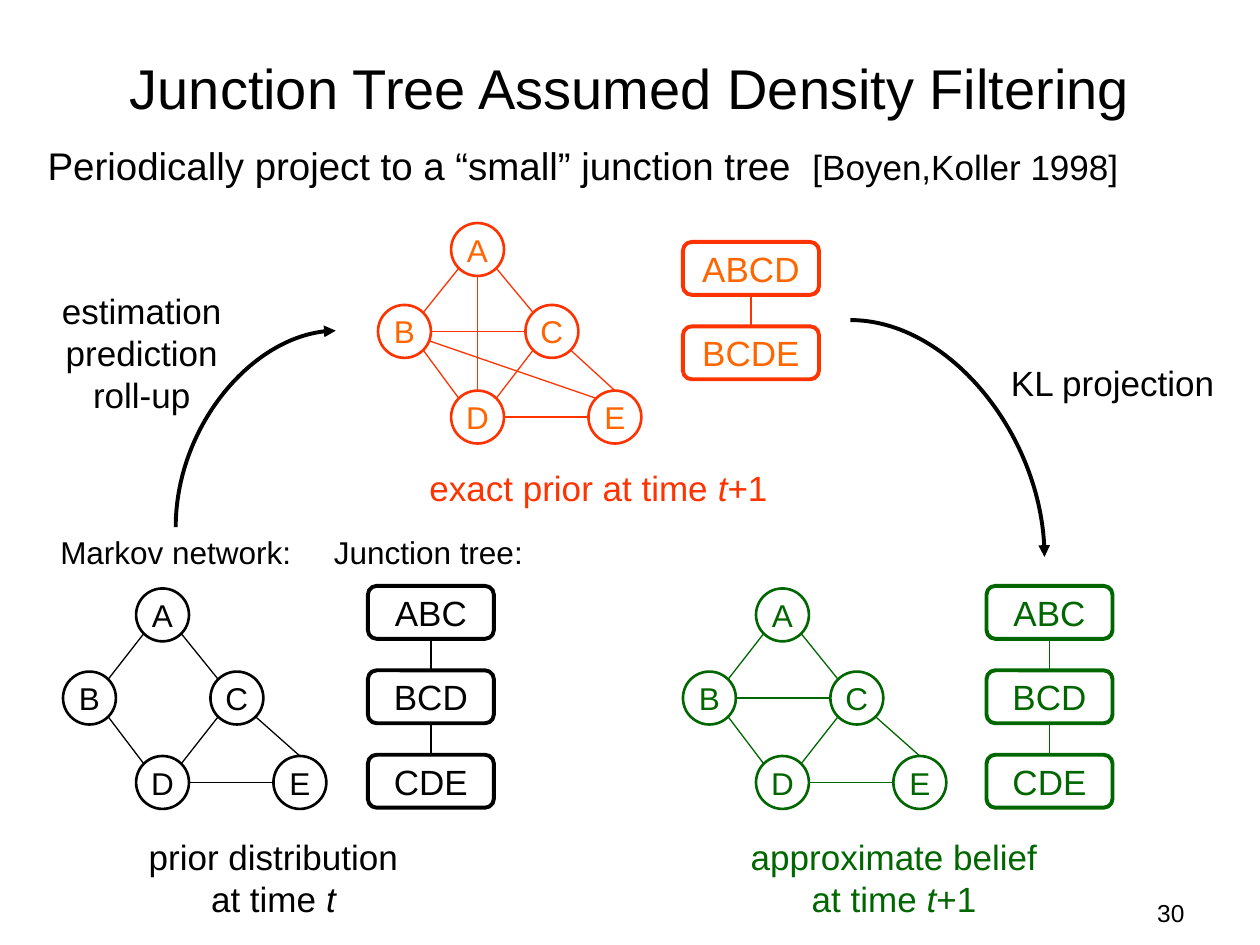
"""Build the slide on junction tree assumed density filtering."""
from math import cos, radians, sin

from lxml.etree import SubElement
from pptx import Presentation
from pptx.dml.color import RGBColor
from pptx.enum.shapes import MSO_CONNECTOR as Line, MSO_SHAPE as Preset
from pptx.enum.text import MSO_ANCHOR as Anchor, MSO_AUTO_SIZE as Fit, PP_ALIGN as Align
from pptx.oxml.ns import qn
from pptx.util import Inches, Pt

BLACK, RED, ORANGE, GREEN = "000000", "FF3300", "FF6600", "006600"
FONT = "Arial"
NODE, CLIQUE_HEIGHT, CLIQUE_STEP = 0.42, 0.42, 0.67

TITLE = "Junction Tree Assumed Density Filtering"
SUBTITLE = [("Periodically project to a “small” junction tree\t", 22),
            ("[Boyen,Koller 1998]", 20)]
CITATION_TAB = 6.07

LABELS = [
    (["prior distribution", "at time *t*"], (1.08, 6.58, 2.18, 0.77), 20, BLACK),
    (["Markov network:"], (0.35, 4.18, 2.09, 0.4), 18, BLACK),
    (["Junction tree:"], (2.55, 4.18, 1.7, 0.4), 18, BLACK),
    (["exact prior at time *t*+1"], (3.26, 3.65, 2.98, 0.44), 20, RED),
    (["approximate belief", "at time *t*+1"], (5.82, 6.58, 2.55, 0.77), 20, GREEN),
    (["estimation", "prediction", "roll-up"], (0.39, 2.25, 1.47, 1.1), 20, BLACK),
    (["KL projection"], (7.92, 2.82, 1.82, 0.44), 20, BLACK),
]

NODES = {"A": (0.58, 0), "B": (0, 1), "C": (1.17, 1), "D": (0.58, 2), "E": (1.67, 2)}
SHARED_EDGES = [("B", -45, "A", 135), ("B", 45, "D", 225), ("D", -45, "C", 135),
                ("A", 45, "C", 225), ("D", 0, "E", 180), ("C", 45, "E", -90)]
BC_EDGE = ("B", 0, "C", 180)
EXACT_EDGES = [BC_EDGE, ("E", 225, "B", 21), ("A", 90, "D", -90)]

LOWER_ROWS, UPPER_ROWS = (4.67, 5.33, 6), (1.77, 2.42, 3.1)
NETWORKS = [(0.5, LOWER_ROWS, [], BLACK, BLACK),
            (3, UPPER_ROWS, EXACT_EDGES, RED, ORANGE),
            (5.42, LOWER_ROWS, [BC_EDGE], GREEN, GREEN)]
TREES = [(2.92, 4.65, 1, ["ABC", "BCD", "CDE"], BLACK, BLACK),
         (5.42, 1.92, 1.08, ["ABCD", "BCDE"], RED, ORANGE),
         (7.83, 4.65, 1, ["ABC", "BCD", "CDE"], GREEN, GREEN)]
ARROWS = [((2.81, 4.04), (1.25, 2.77), 90), ((6.75, 2.54), (8.29, 4.42), 0)]


def rgb(color):
    """Turn a hex string into a colour."""
    return RGBColor.from_string(color)


def style(para, size, color, align=Align.CENTER):
    """Set the font and alignment of a paragraph."""
    para.alignment = align
    para.font.name, para.font.size = FONT, Pt(size)
    para.font.color.rgb = rgb(color)


def add_frame(slide, place, wrap=False):
    """Add a text box, grown to its text unless it wraps, and return its frame."""
    frame = slide.shapes.add_textbox(*map(Inches, place)).text_frame
    frame.word_wrap = wrap
    frame.auto_size = Fit.NONE if wrap else Fit.SHAPE_TO_FIT_TEXT
    return frame


def add_text(slide, lines, place, size, color, align=Align.CENTER, wrap=False):
    """Add a text box whose starred words are italic."""
    frame = add_frame(slide, place, wrap)
    for index, line in enumerate(lines):
        para = frame.paragraphs[0] if index == 0 else frame.add_paragraph()
        style(para, size, color, align)
        for part, text in enumerate(line.split("*")):
            if text:
                span = para.add_run()
                span.text = text
                if part % 2:
                    span.font.italic = True
    return frame


def add_subtitle(slide):
    """Add the statement with its citation at a tab stop."""
    para = add_frame(slide, (0.28, 1.08, 8.7, 0.47)).paragraphs[0]
    tabs = SubElement(para._p.get_or_add_pPr(), qn("a:tabLst"))
    SubElement(tabs, qn("a:tab"), pos=str(Inches(CITATION_TAB)), algn="l")
    style(para, SUBTITLE[0][1], BLACK, Align.LEFT)
    for text, size in SUBTITLE:
        span = para.add_run()
        span.text = text
        span.font.size = Pt(size)


def add_outline(shapes, preset, place, text, size, width, line_color, text_color):
    """Add an unfilled labelled shape."""
    shape = shapes.add_shape(preset, *map(Inches, place))
    shape.shadow.inherit = False
    shape.fill.background()
    shape.line.color.rgb, shape.line.width = rgb(line_color), Pt(width)
    frame = shape.text_frame
    frame.word_wrap, frame.vertical_anchor = False, Anchor.MIDDLE
    frame.text = text
    style(frame.paragraphs[0], size, text_color)
    return shape


def add_line(shapes, start, end, color, width=0.75, kind=Line.STRAIGHT):
    """Add a connector without a shadow."""
    line = shapes.add_connector(kind, *map(Inches, (*start, *end)))
    line.line.color.rgb, line.line.width = rgb(color), Pt(width)
    SubElement(line._element.spPr, qn("a:effectLst"))
    return line


def add_network(slide, left, rows, extra_edges, line_color, text_color):
    """Add a Markov network of circles and edges."""
    shapes = slide.shapes.add_group_shape().shapes
    radius = NODE / 2
    for name, (offset, row) in NODES.items():
        add_outline(shapes, Preset.OVAL, (left + offset, rows[row], NODE, NODE),
                    name, 18, 1.5, line_color, text_color)

    def rim(name, angle):
        """Return the point of a node's rim at an angle in degrees."""
        offset, row = NODES[name]
        return (left + offset + radius * (1 + cos(radians(angle))),
                rows[row] + radius * (1 + sin(radians(angle))))

    for source, leave, target, arrive in SHARED_EDGES + extra_edges:
        add_line(shapes, rim(source, leave), rim(target, arrive), line_color)


def add_tree(slide, left, top, width, cliques, line_color, text_color):
    """Add a vertical chain of joined cliques."""
    shapes = slide.shapes.add_group_shape().shapes
    boxes = [add_outline(shapes, Preset.ROUNDED_RECTANGLE,
                         (left, top + row * CLIQUE_STEP, width, CLIQUE_HEIGHT),
                         name, 20, 2.25, line_color, text_color)
             for row, name in enumerate(cliques)]
    for upper, lower in zip(boxes, boxes[1:]):
        link = add_line(shapes, (left, top), (left, top), line_color)
        link.begin_connect(upper, 2)
        link.end_connect(lower, 0)


def add_arrow(slide, start, end, turn):
    """Add a quarter-turn curved arrow."""
    arrow = add_line(slide.shapes, start, end, BLACK, 2.25, Line.CURVE)
    properties = arrow._element.spPr
    properties.find(qn("a:prstGeom")).set("prst", "curvedConnector2")
    properties.find(qn("a:xfrm")).set("rot", str(turn * 60000))
    SubElement(properties.find(qn("a:ln")), qn("a:tailEnd"), type="triangle")


def main():
    """Build and save the deck."""
    deck = Presentation()
    deck.slide_width, deck.slide_height = Inches(10), Inches(7.5)
    slide = deck.slides.add_slide(deck.slide_layouts[6])
    title = add_text(slide, [TITLE], (0.5, 0.3, 9, 0.78), 32, BLACK, wrap=True)
    title.vertical_anchor = Anchor.MIDDLE
    add_subtitle(slide)
    for network in NETWORKS:
        add_network(slide, *network)
    for tree in TREES:
        add_tree(slide, *tree)
    for arrow in ARROWS:
        add_arrow(slide, *arrow)
    for label in LABELS:
        add_text(slide, *label)
    add_text(slide, ["30"], (7.17, 7.08, 2.33, 0.27), 14, BLACK, Align.RIGHT, True)
    deck.save("out.pptx")


if __name__ == "__main__":
    main()
